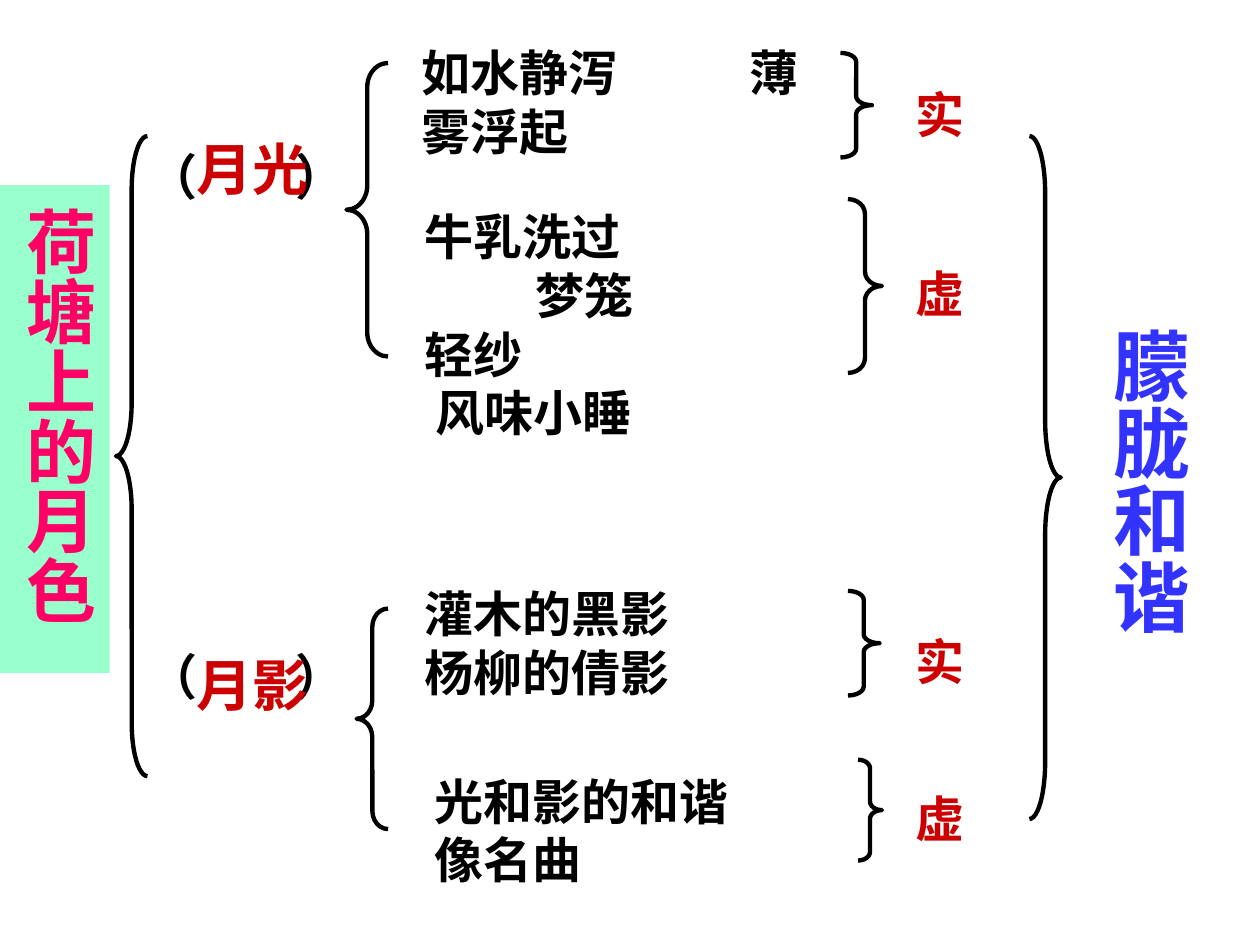
import pptx
import pptx.util
import pptx.dml.color
import pptx.enum.shapes
import pptx.enum.text
import pptx.oxml.ns
import lxml.etree

Inches = pptx.util.Inches
Pt = pptx.util.Pt
RGBColor = pptx.dml.color.RGBColor
MSO_SHAPE = pptx.enum.shapes.MSO_SHAPE
qn = pptx.oxml.ns.qn

BLACK = RGBColor(0x00, 0x00, 0x00)
RED = RGBColor(0xCC, 0x00, 0x00)
PINK = RGBColor(0xFF, 0x00, 0x66)
BLUE = RGBColor(0x33, 0x33, 0xFF)
MINT = RGBColor(0x99, 0xFF, 0xCC)
SANS = "Noto Sans CJK SC"
SERIF = "Times New Roman"

presentation = pptx.Presentation()
presentation.slide_width = Inches(10)
presentation.slide_height = Inches(7.5)
slide = presentation.slides.add_slide(presentation.slide_layouts[6])


def write(text, box, size=28, color=BLACK, font=SERIF, fill=None,
          vertical=False, top=0.09, right=0.1, indents=(), tab=None):
    place = [Inches(length) for length in box]
    if fill is None:
        area = slide.shapes.add_textbox(*place)
    else:
        area = slide.shapes.add_shape(MSO_SHAPE.RECTANGLE, *place)
        area.shadow.inherit = False
        area.fill.solid()
        area.fill.fore_color.rgb = fill
        area.line.fill.background()
    frame = area.text_frame
    frame.word_wrap = True
    frame.vertical_anchor = pptx.enum.text.MSO_ANCHOR.TOP
    frame.margin_top = Inches(top)
    frame.margin_right = Inches(right)
    if vertical:
        frame._txBody.bodyPr.set("vert", "eaVert")
    for number, line in enumerate(text.split("\n")):
        paragraph = frame.add_paragraph() if number else frame.paragraphs[0]
        paragraph.alignment = pptx.enum.text.PP_ALIGN.LEFT
        properties = paragraph._p.get_or_add_pPr()
        if indents:
            properties.set("marL", str(Inches(indents[number])))
            properties.set("indent", "0")
        if tab and "\t" in line:
            stops = lxml.etree.SubElement(properties, qn("a:tabLst"))
            lxml.etree.SubElement(stops, qn("a:tab"), pos=str(Inches(tab)), algn="l")
        paragraph.line_spacing = Pt(size * 1.2)
        run = paragraph.add_run()
        run.text = line
        run.font.size = Pt(size)
        run.font.bold = True
        run.font.name = font
        run.font.color.rgb = color
        east_asian = lxml.etree.Element(qn("a:ea"), typeface=SANS)
        run._r.rPr.find(qn("a:latin")).addnext(east_asian)


write("荷塘上的月色", (0, 1.47, 0.87, 3.87), size=40, color=PINK, font=SANS,
      fill=MINT, vertical=True, top=0.17, right=0.07)

LEFT, RIGHT = MSO_SHAPE.LEFT_BRACE, MSO_SHAPE.RIGHT_BRACE
braces = [
    (LEFT, (0.92, 1.08, 0.25, 5.08), 1.69),
    (LEFT, (2.75, 0.5, 0.33, 2.33), 0.58),
    (LEFT, (2.83, 4.83, 0.25, 1.75), 0.58),
    (RIGHT, (6.67, 0.42, 0.25, 0.83), 0.28),
    (RIGHT, (6.73, 1.58, 0.27, 1.38), 0.43),
    (RIGHT, (6.73, 4.69, 0.25, 0.83), 0.28),
    (RIGHT, (6.81, 6.03, 0.19, 0.8), 0.36),
    (RIGHT, (8.17, 1.08, 0.25, 5.42), 1.81),
]
for kind, box, curve in braces:
    brace = slide.shapes.add_shape(kind, *[Inches(length) for length in box])
    brace.shadow.inherit = False
    brace.adjustments[0] = curve
    brace.adjustments[1] = 0.5
    brace.fill.background()
    brace.line.color.rgb = BLACK
    brace.line.width = Pt(2.5)

for subject, bracket_top, subject_top in [("月光", 1.07, 0.98), ("月影", 5.04, 5.07)]:
    write("（\t）", (1.08, bracket_top, 2.42, 0.57), tab=1.17)
    write(subject, (1.46, subject_top, 1.25, 0.65), size=32, color=RED)

write("如水静泻\t薄\n雾浮起", (3.25, 0.25, 3.25, 1.03), font=SANS, tab=2.6)
write("牛乳洗过\n梦笼\n轻纱\n风味小睡", (3.27, 1.55, 1.99, 1.97), font=SANS,
      indents=(0, 0.88, 0, 0.09))
write("灌木的黑影\n杨柳的倩影", (3.27, 4.54, 2.5, 1.03), font=SANS)
write("光和影的和谐\n像名曲", (3.35, 6.03, 2.58, 1.03), font=SANS)

for quality, top in [("实", 0.58), ("虚", 2), ("实", 4.92), ("虚", 6.17)]:
    write(quality, (7.17, top, 1.06, 0.57), color=RED)

write("朦胧和谐", (8.64, 2.5, 0.93, 3.42), size=44, color=BLUE,
      vertical=True, top=0.05, right=0.08)

presentation.save("out.pptx")
